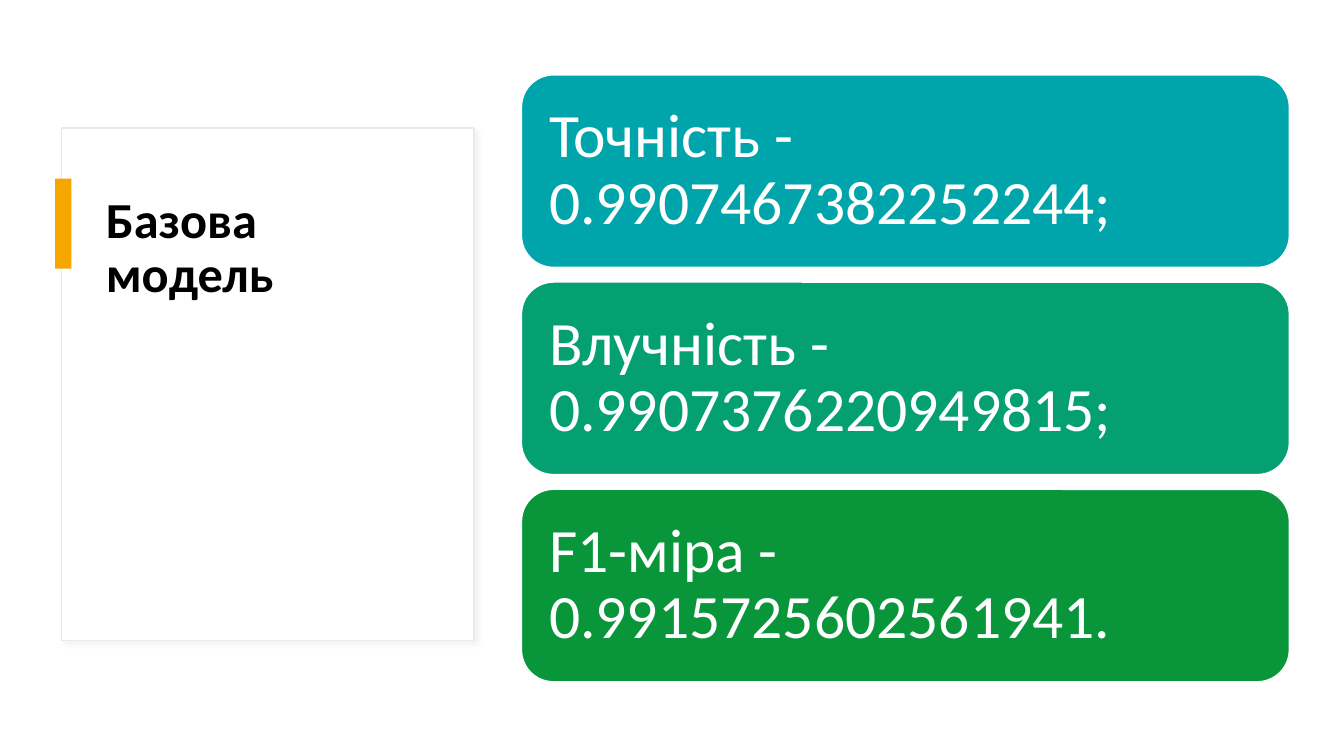
from dataclasses import dataclass
from lxml.etree import SubElement
from pptx import Presentation
from pptx.dml.color import RGBColor
from pptx.enum.shapes import MSO_SHAPE
from pptx.enum.text import MSO_ANCHOR
from pptx.oxml.ns import qn
from pptx.util import Pt


@dataclass(frozen=True)
class Theme:
    font: str = "Calibri"
    title: int = 36
    body: int = 44
    ink: str = "000000"
    white: str = "FFFFFF"
    edge: str = "E9E9E9"
    shade: str = "D9D9D9"
    mark: str = "F5A700"
    cards: tuple = ("00A5AB", "05A071", "09963B")


THEME = Theme()
SCORES = (
    "Точність - 0.9907467382252244;",
    "Влучність - 0.9907376220949815;",
    "F1-міра - 0.9915725602561941.",
)


def style(item, **values):
    for name, value in values.items():
        setattr(item, name, value)


def block(slide, kind, box, fill, line=None):
    shape = slide.shapes.add_shape(kind, *map(Pt, box))
    shape.shadow.inherit = False
    shape.fill.solid()
    shape.fill.fore_color.rgb = RGBColor.from_string(fill)
    if line:
        shape.line.color.rgb = RGBColor.from_string(line)
        shape.line.width = Pt(1)
    else:
        shape.line.fill.background()
    return shape


def shadow(shape):
    """Give the shape a soft shadow to the lower right."""
    effects = shape._element.spPr.find(qn("a:effectLst"))
    outer = SubElement(effects, qn("a:outerShdw"), blurRad=str(Pt(4)),
                       dist=str(Pt(3)), dir="2700000", rotWithShape="0")
    color = SubElement(outer, qn("a:srgbClr"), val=THEME.shade)
    SubElement(color, qn("a:alpha"), val="30000")


def write(shape, text, size, color, after=0, bold=False, **frame):
    style(shape.text_frame, word_wrap=True, **frame)
    para = shape.text_frame.paragraphs[0]
    para.text = text
    style(para, line_spacing=0.9, space_after=Pt(after))
    style(para.font, name=THEME.font, size=Pt(size), bold=bold)
    para.font.color.rgb = RGBColor.from_string(color)


def panel(slide):
    """Draw the framed title panel with its accent bar."""
    frame = block(slide, MSO_SHAPE.RECTANGLE, (44, 91.5, 294.5, 366),
                  THEME.white, THEME.edge)
    shadow(frame)
    title = slide.shapes.add_textbox(*map(Pt, (68.5, 135.5, 244, 277)))
    write(title, "Базова модель", THEME.title, THEME.ink, bold=True)
    block(slide, MSO_SHAPE.RECTANGLE, (39.5, 127.5, 11.5, 64.5), THEME.mark)


def card(slide, top, text, fill):
    shape = block(slide, MSO_SHAPE.ROUNDED_RECTANGLE,
                  (372.5, top, 548.5, 137.5), fill, THEME.white)
    sides = ("left", "right", "top", "bottom")
    margins = {f"margin_{side}": Pt(13) for side in sides}
    write(shape, text, THEME.body, THEME.white,
          vertical_anchor=MSO_ANCHOR.MIDDLE, **margins)
    shape.text_frame.paragraphs[0].alignment = 1


def main():
    deck = Presentation()
    style(deck, slide_width=Pt(960), slide_height=Pt(540))
    slide = deck.slides.add_slide(deck.slide_layouts[6])
    panel(slide)
    for row, (text, fill) in enumerate(zip(SCORES, THEME.cards)):
        card(slide, 53.5 + 148 * row, text, fill)
    deck.save("out.pptx")


if __name__ == "__main__":
    main()
